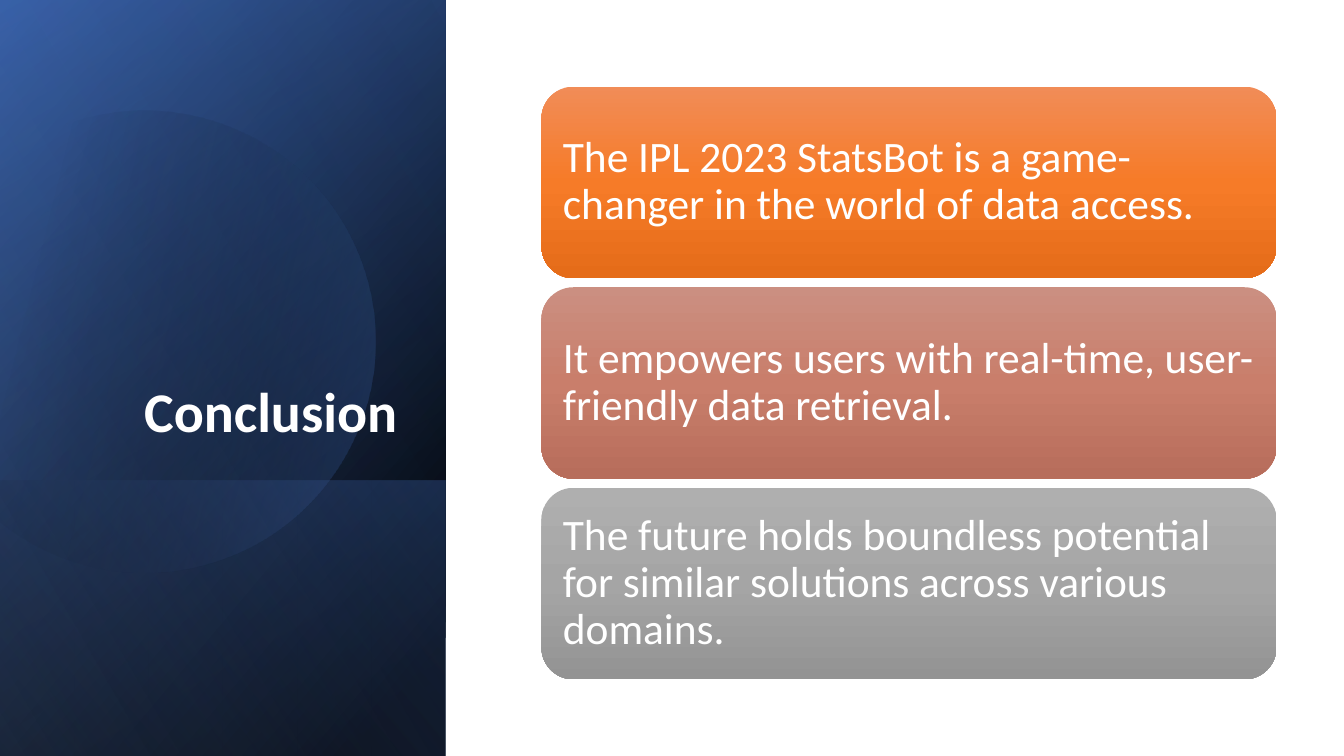
"""Build the Conclusion slide: a layered blue title panel and three statement boxes."""
from math import cos, radians, sin, tan

from pptx import Presentation
from pptx.dml.color import RGBColor
from pptx.enum.shapes import MSO_SHAPE as Shape
from pptx.enum.text import MSO_ANCHOR as Anchor, PP_ALIGN as Align
from pptx.oxml import parse_xml
from pptx.oxml.ns import nsdecls, qn
from pptx.util import Inches, Pt


def paint(shape, stops, angle):
    """Fill with (position, colour, opacity) stops; drop line and shadow."""
    marks = "".join(
        f'<a:gs pos="{position * 1000}"><a:srgbClr val="{colour}">'
        f'<a:alpha val="{opacity * 1000}"/></a:srgbClr></a:gs>'
        for position, colour, opacity in stops
    )
    gradient = parse_xml(
        f'<a:gradFill {nsdecls("a")} rotWithShape="1"><a:gsLst>{marks}</a:gsLst>'
        f'<a:lin ang="{angle * 60000}" scaled="0"/></a:gradFill>'
    )
    shape.shadow.inherit = False
    shape.line.fill.background()
    shape.fill.background()
    properties = shape.element.spPr
    properties.replace(properties.find(qn("a:noFill")), gradient)


def write(frame, text, size, align, bold=False):
    """Set one white Calibri paragraph."""
    frame.text = text
    frame.word_wrap = True
    para = frame.paragraphs[0]
    para.alignment = align
    para.line_spacing = 0.9
    font = para.runs[0].font
    font.name = "Calibri"
    font.size = Pt(size)
    font.bold = bold
    font.color.rgb = RGBColor.from_string("FFFFFF")


deck = Presentation()
deck.slide_width, deck.slide_height = Inches(13.33), Inches(7.5)
page = deck.slides.add_slide(deck.slide_layouts[5])
shapes = page.shapes

full_panel = (-1.54, 1.54, 7.5, 4.42)
lower_panel = (0.84, 3.93, 2.74, 4.42)
panels = [
    (full_panel, 50, [(8, "000000", 100), (100, "2F5597", 100)]),
    (full_panel, 30, [(0, "000000", 0), (99, "4472C4", 46)]),
    (lower_panel, 130, [(2, "4472C4", 29), (100, "000000", 30)]),
    (full_panel, 120, [(0, "000000", 0), (99, "8FAADC", 11)]),
]
for index, (place, angle, stops) in enumerate(panels):
    if index == 3:
        centre_x, centre_y, radius = Inches(1.43), Inches(3.34), Inches(2.29)
        turns = [radians(turn) for turn in (-117, -90, 0, 90, 149)]
        rim = [
            (round(centre_x + radius * cos(turn)), round(centre_y + radius * sin(turn)))
            for turn in turns
        ]
        builder = shapes.build_freeform(*rim[0])
        builder.add_line_segments(rim[1:], close=True)
        disc = builder.convert_to_shape()
        edges = list(disc.element.iter(qn("a:lnTo")))
        for edge, start, end, first, last in zip(edges, turns, turns[1:], rim, rim[1:]):
            reach = radius * 4 / 3 * tan((end - start) / 4)
            curve = [
                (first[0] - reach * sin(start), first[1] + reach * cos(start)),
                (last[0] + reach * sin(end), last[1] - reach * cos(end)),
                last,
            ]
            knots = "".join(
                f'<a:pt x="{round(x - disc.left)}" y="{round(y - disc.top)}"/>'
                for x, y in curve
            )
            bend = parse_xml(f'<a:cubicBezTo {nsdecls("a")}>{knots}</a:cubicBezTo>')
            edge.getparent().replace(edge, bend)
        disc.rotation = 343.9
        paint(disc, [(29, "000000", 0), (100, "4472C4", 43)], 30)
    panel = shapes.add_shape(Shape.RECTANGLE, *map(Inches, place))
    panel.rotation = 90
    panel.element.spPr.get_or_add_xfrm().set("flipH", "1")
    paint(panel, stops, angle)

title = shapes.title
title.left, title.top = Inches(0.63), Inches(1.84)
title.width, title.height = Inches(3.41), Inches(2.62)
title.text_frame.vertical_anchor = Anchor.BOTTOM
write(title.text_frame, "Conclusion", 40, Align.RIGHT, bold=True)
shapes.element.append(title.element)

statements = [
    ("The IPL 2023 StatsBot is a game-changer in the world of data access.",
     ("F18C57", "F67B28", "E56C19")),
    ("It empowers users with real-time, user-friendly data retrieval.",
     ("CB8F81", "C97E6B", "B76D5B")),
    ("The future holds boundless potential for similar solutions across various domains.",
     ("AFAFAF", "A5A5A5", "939393")),
]
for row, (text, colours) in enumerate(statements):
    box = shapes.add_shape(
        Shape.ROUNDED_RECTANGLE,
        Inches(5.37), Inches(0.86 + 1.99 * row), Inches(7.29), Inches(1.9),
    )
    paint(box, [(50 * step, colour, 100) for step, colour in enumerate(colours)], 90)
    frame = box.text_frame
    frame.margin_left = frame.margin_right = Inches(0.12)
    frame.margin_top = frame.margin_bottom = Inches(0.13)
    frame.vertical_anchor = Anchor.MIDDLE
    write(frame, text, 31, Align.LEFT)

deck.save("out.pptx")
